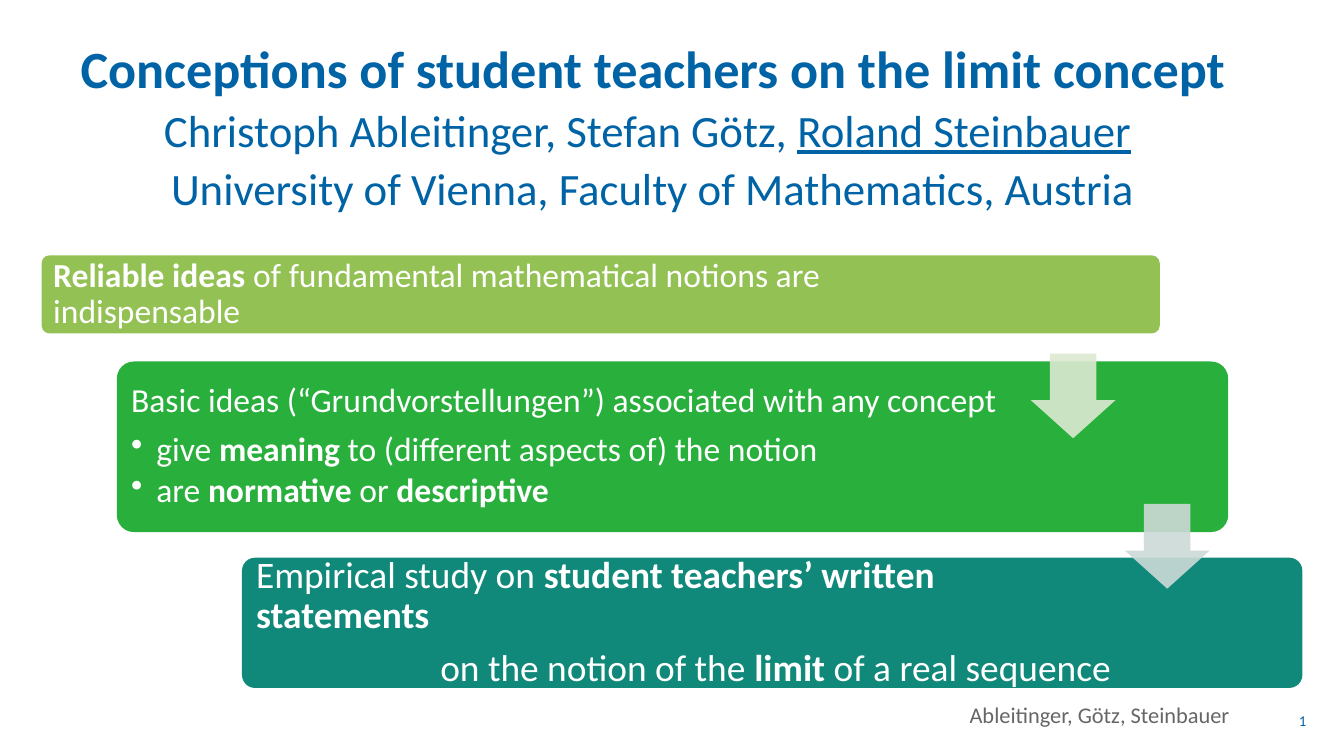
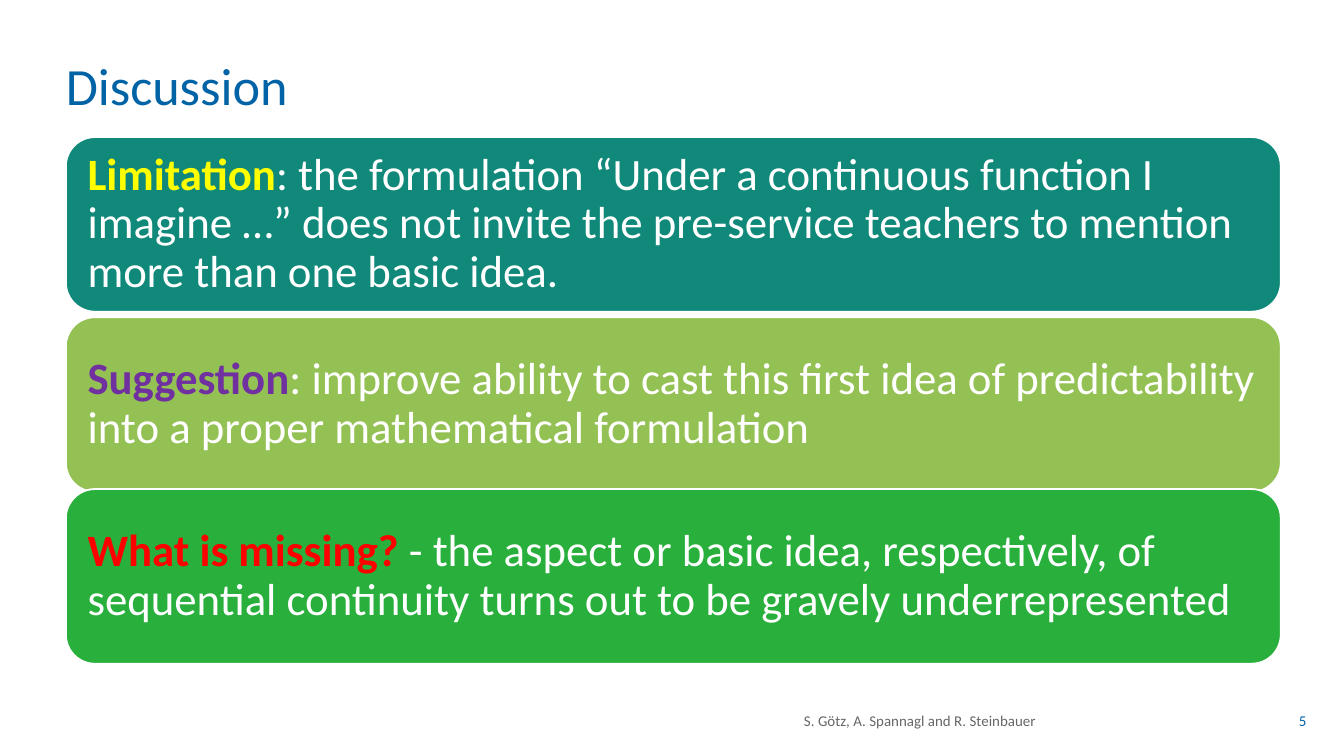
from dataclasses import dataclass

from lxml import etree
from pptx import Presentation
from pptx.dml.color import RGBColor
from pptx.enum.shapes import MSO_SHAPE
from pptx.enum.text import MSO_ANCHOR, PP_ALIGN
from pptx.oxml.ns import qn
from pptx.util import Pt

ROUNDED = MSO_SHAPE.ROUNDED_RECTANGLE
DOWN_ARROW = MSO_SHAPE.DOWN_ARROW
TOP, MIDDLE = MSO_ANCHOR.TOP, MSO_ANCHOR.MIDDLE
LEFT, CENTER, RIGHT = PP_ALIGN.LEFT, PP_ALIGN.CENTER, PP_ALIGN.RIGHT
BREAK = "\n"


@dataclass(frozen=True)
class Theme:
    font: str = "Calibri"
    blue: str = "0063A6"
    gray: str = "666666"
    white: str = "FFFFFF"
    lime: str = "94C154"
    green: str = "29AF3C"
    teal: str = "11897A"
    pale_lime: str = "DCE9D1"
    pale_teal: str = "CCDAD7"
    yellow: str = "FFFF00"
    purple: str = "7030A0"
    red: str = "FF0000"
    title_size: float = 28
    large_size: float = 24
    medium_size: float = 20
    body_size: float = 18
    credit_size: float = 12
    footer_size: float = 8


THEME = Theme()


@dataclass(frozen=True)
class Box:
    left: float
    top: float
    width: float
    height: float

    def inner(self, left, top, width, height):
        """Turn a place inside this box into a place on the slide."""
        return Box(self.left + left, self.top + top, width, height)

    def lengths(self):
        return [Pt(value) for value in (self.left, self.top, self.width, self.height)]


@dataclass(frozen=True)
class Run:
    text: str
    bold: bool = False
    underline: bool = False
    color: str = ""
    size: float = 0


@dataclass(frozen=True)
class Line:
    """One paragraph; space_after is a share of the type size."""
    runs: tuple
    align: int = LEFT
    space_after: float = 0.35
    bullet: bool = False


TITLE_BOX = Box(27.36, 16.56, 644.4, 103.68)
STAIRCASE_BOX = Box(22.32, 136.8, 675.36, 231.84)
DISCUSSION_TITLE_BOX = Box(35.28, 30.96, 130.32, 32.4)
DISCUSSION_BOX = Box(35.28, 73.44, 650.88, 282.24)
OPENING_CREDIT_BOX = Box(125.28, 368.64, 533.52, 28.08)
CREDIT_BOX = Box(125.28, 375.12, 429.84, 21.6)
NUMBER_BOX = Box(671.76, 375.12, 28.08, 21.6)


def set_frame(frame, insets, anchor):
    frame.word_wrap = True
    frame.vertical_anchor = anchor
    left, top, right, bottom = insets
    frame.margin_left, frame.margin_top = Pt(left), Pt(top)
    frame.margin_right, frame.margin_bottom = Pt(right), Pt(bottom)


def add_runs(paragraph, runs, size, color):
    for part in runs:
        if part == BREAK:
            paragraph.add_line_break()
            continue
        run = paragraph.add_run()
        run.text = part.text
        font = run.font
        font.name = THEME.font
        font.size = Pt(part.size or size)
        font.bold = part.bold
        font.underline = part.underline
        font.color.rgb = RGBColor.from_string(part.color or color)


def add_bullet(paragraph, indent):
    properties = paragraph._p.get_or_add_pPr()
    properties.set("marL", str(Pt(indent)))
    properties.set("indent", str(-Pt(indent)))
    etree.SubElement(properties, qn("a:buChar")).set("char", "•")


def add_text(slide, box, runs, size, color, align=LEFT, anchor=MIDDLE,
             insets=(0, 0, 0, 0), line_spacing=None):
    frame = slide.shapes.add_textbox(*box.lengths()).text_frame
    set_frame(frame, insets, anchor)
    paragraph = frame.paragraphs[0]
    paragraph.alignment = align
    paragraph.line_spacing = line_spacing
    add_runs(paragraph, runs, size, color)


def add_title(slide, box, runs, align=LEFT, anchor=TOP):
    add_text(slide, box, runs, THEME.title_size, THEME.blue, align, anchor,
             line_spacing=Pt(31))


def add_footer(slide, credit_box, credit, credit_size, number):
    add_text(slide, credit_box, [Run(credit)], credit_size, THEME.gray, RIGHT)
    add_text(slide, NUMBER_BOX, [Run(number)], THEME.footer_size, THEME.blue, RIGHT,
             insets=(7.2, 3.6, 0, 3.6))


def add_plain_shape(slide, kind, box, color):
    shape = slide.shapes.add_shape(kind, *box.lengths())
    shape.shadow.inherit = False
    shape.fill.solid()
    shape.fill.fore_color.rgb = RGBColor.from_string(color)
    shape.line.fill.background()
    return shape


def add_card(slide, box, color, lines, size, inset, free_right=0):
    """Add a rounded card; free_right keeps its right part clear of text."""
    card = add_plain_shape(slide, ROUNDED, box, color)
    frame = card.text_frame
    set_frame(frame, (inset, inset, inset + free_right, inset), MIDDLE)
    for index, line in enumerate(lines):
        paragraph = frame.add_paragraph() if index else frame.paragraphs[0]
        paragraph.alignment = line.align
        paragraph.line_spacing = 0.9
        paragraph.space_after = Pt(round(line.space_after * size, 1))
        if line.bullet:
            paragraph.level = 1
            add_bullet(paragraph, 13.5)
        add_runs(paragraph, line.runs, size, THEME.white)
    return card


def add_step_arrow(slide, box, color):
    arrow = add_plain_shape(slide, DOWN_ARROW, box, color)
    arrow.adjustments[0], arrow.adjustments[1] = 0.55, 0.45
    fill_color = arrow._element.spPr.find(qn("a:solidFill"))[0]
    etree.SubElement(fill_color, qn("a:alpha")).set("val", "90000")


def add_staircase(slide, box):
    """Three cards, each further right, joined by two down arrows."""
    reliable = [Line((Run("Reliable ideas ", bold=True),
                      Run("of fundamental mathematical notions are indispensable")))]
    basic = [
        Line((Run("Basic ideas (“Grundvorstellungen”) associated with any concept"),)),
        Line((Run("give "), Run("meaning", bold=True),
              Run(" to (different aspects of) the notion")),
             space_after=0.15, bullet=True),
        Line((Run("are "), Run("normative", bold=True), Run(" or "),
              Run("descriptive", bold=True)),
             space_after=0.15, bullet=True),
    ]
    study = [
        Line((Run("Empirical study on "),
              Run("student teachers’ written statements", bold=True))),
        Line((Run("on the notion of the "), Run("limit", bold=True),
              Run(" of a real sequence")), align=RIGHT),
    ]
    steps = [
        ((0, 0, 599, 41.8), THEME.lime, reliable, THEME.body_size, 5, 75),
        ((40.3, 56.9, 595.4, 91.4), THEME.green, basic, THEME.body_size, 5, 99.5),
        ((107.3, 162, 568.1, 69.8), THEME.teal, study, THEME.medium_size, 5.5, 95),
    ]
    for place, color, lines, size, inset, free_right in steps:
        card = add_card(slide, box.inner(*place), color, lines, size, inset, free_right)
        card.adjustments[0] = 0.1
    for left, top, color in ((529.9, 52.6, THEME.pale_lime),
                             (580.3, 133.2, THEME.pale_teal)):
        add_step_arrow(slide, box.inner(left, top, 45.4, 45.4), color)


def add_discussion_cards(slide, box):
    cards = [
        (96.5, THEME.lime, THEME.purple, "Suggestion",
         ": improve ability to cast this first idea of predictability into a proper "
         "mathematical formulation"),
        (188.6, THEME.green, THEME.red, "What is missing? ",
         "- the aspect or basic idea, respectively, of sequential continuity turns out "
         "to be gravely underrepresented"),
        (0, THEME.teal, THEME.yellow, "Limitation",
         ": the formulation “Under a continuous function I imagine …” does not invite "
         "the pre-service teachers to mention more than one basic idea."),
    ]
    for top, color, keyword_color, keyword, statement in cards:
        line = Line((Run(keyword, bold=True, color=keyword_color), Run(statement)))
        card = add_card(slide, box.inner(0, top, box.width, 93.6), color, [line],
                        THEME.large_size, 7.2)
        card.line.color.rgb = RGBColor.from_string(THEME.white)
        card.line.width = Pt(1)


def add_blank_slide(presentation):
    return presentation.slides.add_slide(presentation.slide_layouts[6])


def build_opening_slide(presentation):
    slide = add_blank_slide(presentation)
    size = THEME.large_size
    add_title(slide, TITLE_BOX, [
        Run("Conceptions of student teachers on the limit concept", bold=True),
        BREAK,
        Run("Christoph Ableitinger, Stefan Götz, ", size=size),
        Run("Roland Steinbauer", underline=True, size=size),
        Run(" ", size=size),
        BREAK,
        Run("University of Vienna, Faculty of Mathematics, Austria", size=size),
    ], CENTER, MIDDLE)
    add_staircase(slide, STAIRCASE_BOX)
    add_footer(slide, OPENING_CREDIT_BOX, "Ableitinger, Götz, Steinbauer",
               THEME.credit_size, "1")


def build_discussion_slide(presentation):
    slide = add_blank_slide(presentation)
    add_title(slide, DISCUSSION_TITLE_BOX, [Run("Discussion")])
    add_discussion_cards(slide, DISCUSSION_BOX)
    add_footer(slide, CREDIT_BOX, "S. Götz, A. Spannagl and R. Steinbauer",
               THEME.footer_size, "5")


def main():
    presentation = Presentation()
    presentation.slide_width, presentation.slide_height = Pt(720), Pt(405)
    build_opening_slide(presentation)
    build_discussion_slide(presentation)
    presentation.save("out.pptx")


if __name__ == "__main__":
    main()
